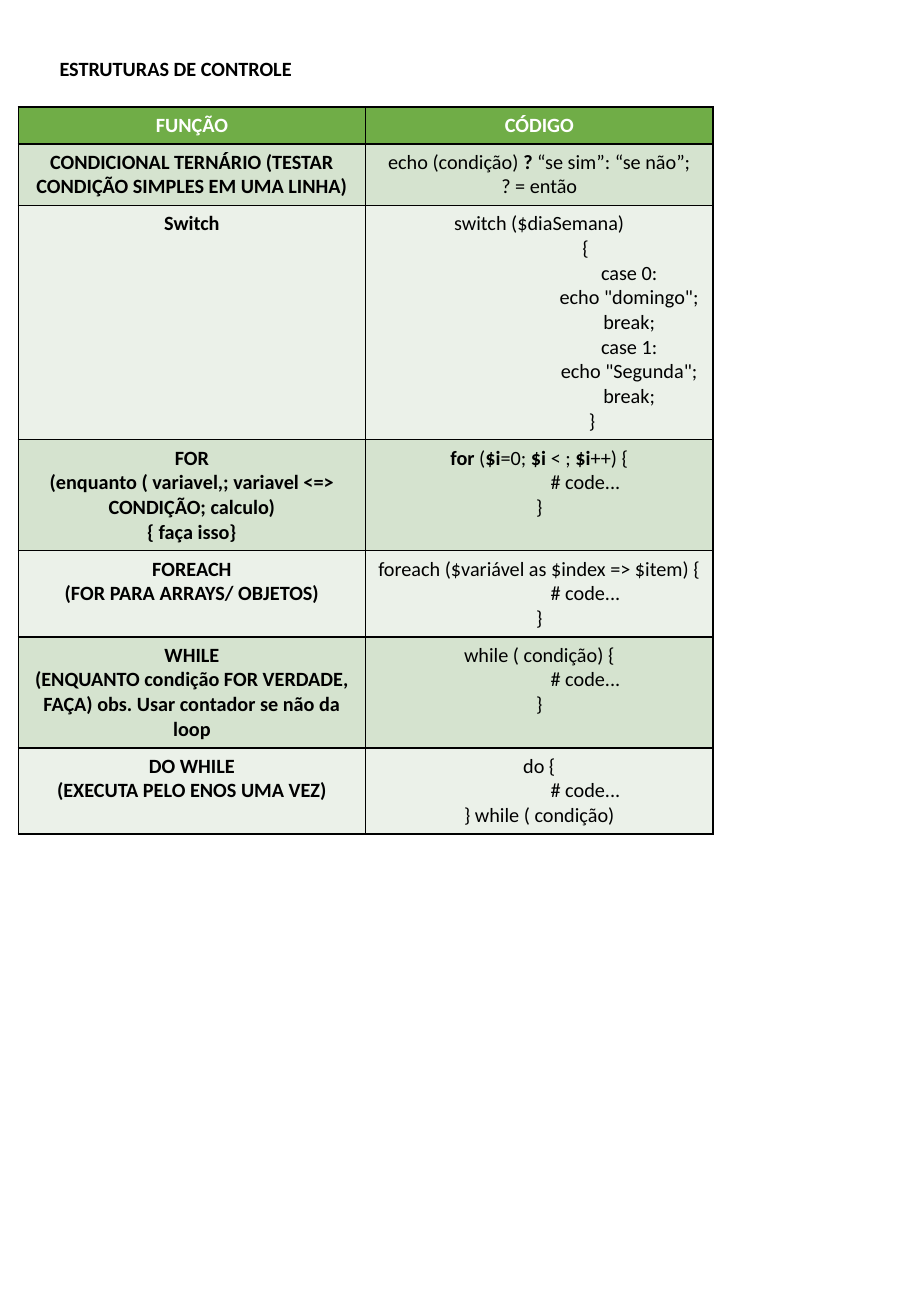
from lxml import etree
from pptx import Presentation
from pptx.dml.color import RGBColor
from pptx.enum.text import MSO_ANCHOR, MSO_AUTO_SIZE, PP_ALIGN
from pptx.oxml.ns import qn
from pptx.util import Inches, Pt

LEFT, CENTER = PP_ALIGN.LEFT, PP_ALIGN.CENTER
TOP = MSO_ANCHOR.TOP
NO_AUTOFIT = MSO_AUTO_SIZE.NONE
TITLE_ONLY = 5

BLACK, WHITE = "000000", "FFFFFF"
HEADER_GREEN = "70AD47"
BAND_GREENS = ("D5E3CF", "EBF1E9")

# Left indents in inches for nested code lines
BLOCK, CASE, CLOSING = 0.76, 1.48, 0.87


def rgb(hex_colour):
    """Turn a hex string into a colour."""
    return RGBColor.from_string(hex_colour)


def loop_code(opening, closing="}"):
    """Return the three code lines of a loop as (indent, text) pairs."""
    return [(0, opening), (BLOCK, "# code..."), (0, closing)]


class SlideBuilder:
    """Holds the text style and the current slide."""

    def __init__(self, slide, font_name="Calibri", size=12):
        self.slide = slide
        self.font_name = font_name
        self.size = size

    def style(self, paragraph, colour, bold, align):
        """Format a whole paragraph."""
        paragraph.alignment = align
        font = paragraph.font
        font.name, font.size, font.bold = self.font_name, Pt(self.size), bold
        font.color.rgb = rgb(colour)

    def title(self, text, left, top, width, height):
        """Place and format the title placeholder."""
        heading = self.slide.shapes.title
        heading.left, heading.top = Inches(left), Inches(top)
        heading.width, heading.height = Inches(width), Inches(height)
        frame = heading.text_frame
        frame.text = text
        frame.word_wrap = False
        frame.auto_size = NO_AUTOFIT
        frame.vertical_anchor = TOP
        self.style(frame.paragraphs[0], BLACK, True, LEFT)

    def borders(self, cell, colour=BLACK, width=1):
        """Draw a line on all four sides of a cell."""
        properties = cell._tc.get_or_add_tcPr()
        for side in ("lnL", "lnR", "lnT", "lnB"):
            line = etree.SubElement(properties, qn(f"a:{side}"), w=str(Pt(width)))
            fill = etree.SubElement(line, qn("a:solidFill"))
            etree.SubElement(fill, qn("a:srgbClr"), val=colour)

    def add_text(self, paragraph, text):
        """Add text in which *stars* mark bold and \\n a line break."""
        for part_index, part in enumerate(text.split("*")):
            for line_index, line in enumerate(part.split("\n")):
                if line_index:
                    paragraph.add_line_break()
                if line:
                    run = paragraph.add_run()
                    run.text = line
                    if part_index % 2:
                        run.font.bold = True

    def cell(self, cell, lines, fill, colour=BLACK, bold=False):
        """Fill a table cell with (indent, text) lines."""
        self.borders(cell)
        cell.fill.solid()
        cell.fill.fore_color.rgb = rgb(fill)
        frame = cell.text_frame
        for index, (indent, text) in enumerate(lines):
            paragraph = frame.add_paragraph() if index else frame.paragraphs[0]
            self.style(paragraph, colour, bold, CENTER)
            if indent:
                paragraph._p.get_or_add_pPr().set("marL", str(Inches(indent)))
            self.add_text(paragraph, text)

    def table(self, headers, rows, left, top, column_width):
        """Add a banded table from (height, function, code lines) rows."""
        heights = [0.3] + [height for height, _, _ in rows]
        grid = self.slide.shapes.add_table(
            len(heights), len(headers), Inches(left), Inches(top),
            Inches(column_width * len(headers)), Inches(sum(heights))).table
        for column, header in enumerate(headers):
            grid.columns[column].width = Inches(column_width)
            self.cell(grid.cell(0, column), [(0, header)], HEADER_GREEN, WHITE, True)
        for index, height in enumerate(heights):
            grid.rows[index].height = Inches(height)
        for index, (_, function, code) in enumerate(rows):
            band = BAND_GREENS[index % 2]
            self.cell(grid.cell(index + 1, 0), [(0, function)], band, bold=True)
            self.cell(grid.cell(index + 1, 1), code, band)


SWITCH_CASES = [
    (CASE, line)
    for number, day in enumerate(("domingo", "Segunda"))
    for line in (f"case {number}:", f'echo "{day}";', "break;")
]

STRUCTURES = [
    (0.5, "CONDICIONAL TERNÁRIO (TESTAR CONDIÇÃO SIMPLES EM UMA LINHA)",
     [(0, "echo (condição) *?* “se sim”: “se não”;\n? = então")]),
    (1.9, "Switch",
     [(0, "switch ($diaSemana)"), (BLOCK, "{"), *SWITCH_CASES, (CLOSING, "}")]),
    (0.9, "FOR\n(enquanto ( variavel,; variavel <=> CONDIÇÃO; calculo)\n{ faça isso}",
     loop_code("*for* (*$i*=0; *$i *< ; *$i*++) {")),
    (0.7, "FOREACH\n(FOR PARA ARRAYS/ OBJETOS)",
     loop_code("foreach ($variável as $index => $item) {")),
    (0.9, "WHILE\n(ENQUANTO condição FOR VERDADE, FAÇA) obs. Usar contador se não da loop",
     loop_code("while ( condição) {")),
    (0.7, "DO WHILE\n(EXECUTA PELO ENOS UMA VEZ)",
     loop_code("do {", "} while ( condição)")),
]

presentation = Presentation()
presentation.slide_width, presentation.slide_height = Inches(7.5), Inches(10.83)
builder = SlideBuilder(
    presentation.slides.add_slide(presentation.slide_layouts[TITLE_ONLY]))
builder.title("ESTRUTURAS DE CONTROLE", 0.39, 0.41, 2.14, 0.3)
builder.table(("FUNÇÃO", "CÓDIGO"), STRUCTURES, 0.15, 0.88, 2.86)
presentation.save("out.pptx")
